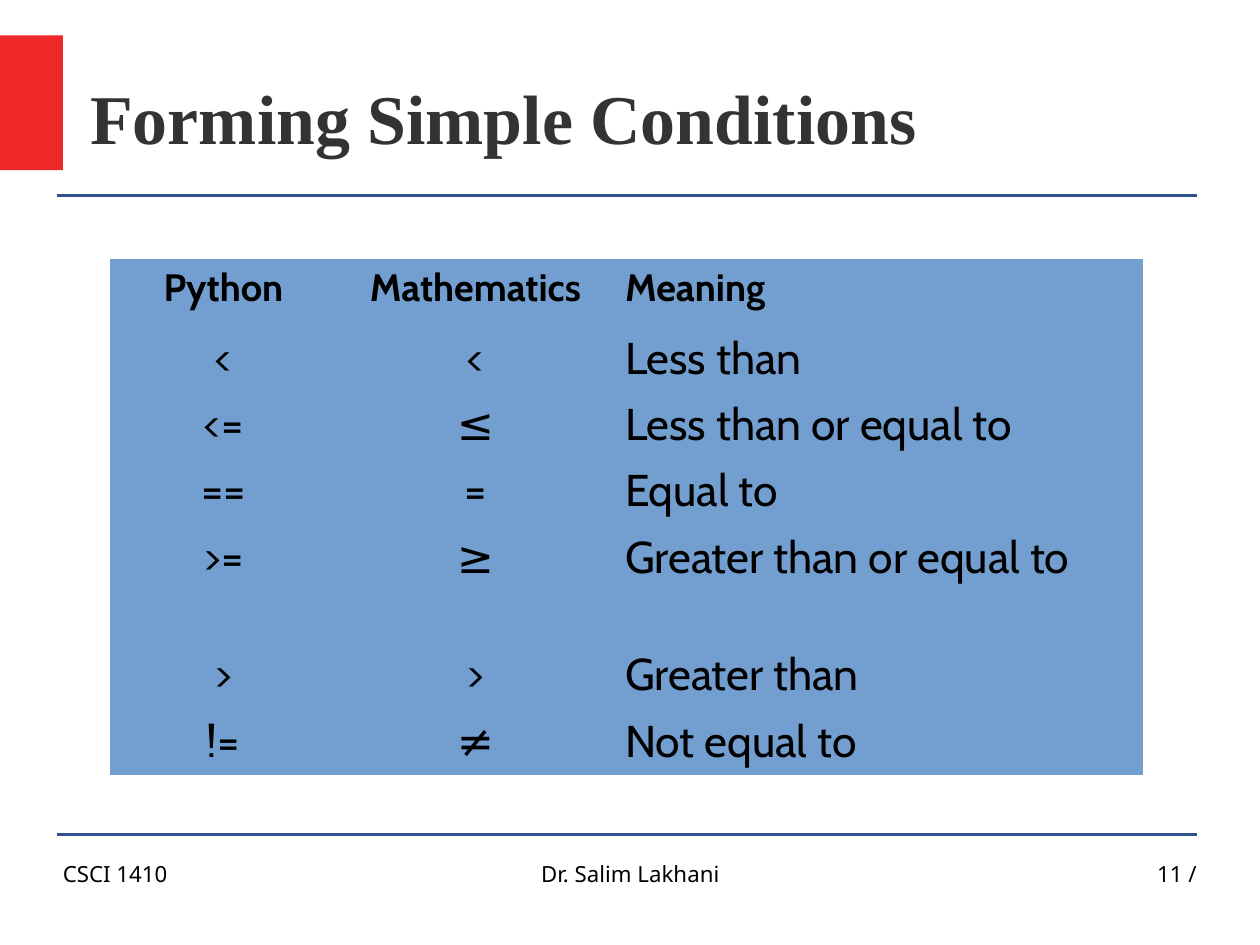
from dataclasses import dataclass

from lxml import etree
from pptx import Presentation
from pptx.dml.color import RGBColor
from pptx.enum.shapes import MSO_CONNECTOR, MSO_SHAPE
from pptx.enum.text import MSO_ANCHOR, PP_ALIGN
from pptx.oxml.ns import qn
from pptx.util import Inches, Pt

RECTANGLE = MSO_SHAPE.RECTANGLE
STRAIGHT = MSO_CONNECTOR.STRAIGHT
TOP, MIDDLE = MSO_ANCHOR.TOP, MSO_ANCHOR.MIDDLE
LEFT, CENTER, RIGHT = PP_ALIGN.LEFT, PP_ALIGN.CENTER, PP_ALIGN.RIGHT
PLAIN_TABLE_STYLE = "{2D5ABB26-0587-4C30-8999-92F81FD0307C}"
SLIDE_WIDTH, SLIDE_HEIGHT = Pt(793.75), Pt(595.25)


@dataclass(frozen=True)
class TextStyle:
    font: str
    size: float
    color: RGBColor
    bold: bool = False


@dataclass(frozen=True)
class Theme:
    accent = RGBColor.from_string("EF2929")
    rule = RGBColor.from_string("2F528F")
    table_fill = RGBColor.from_string("729FCF")
    black = RGBColor.from_string("000000")
    title = TextStyle("Times New Roman", 44, RGBColor.from_string("333333"), True)
    footer = TextStyle("Noto Sans", 14, black)
    table_header = TextStyle("Cabin", 24, black, True)
    table_body = TextStyle("Cabin", 28, black)
    rule_width = 1.45
    space_before_ratio = 0.2


THEME = Theme()

OPERATORS = [
    ("Python", "Mathematics", "Meaning"),
    ("<", "<", "Less than"),
    ("<=", "≤", "Less than or equal to"),
    ("==", "=", "Equal to"),
    (">=", "≥", "Greater than or equal to"),
    (">", ">", "Greater than"),
    ("!=", "≠", "Not equal to"),
]
COLUMN_WIDTHS = (1.99, 2.42, 4.63)
COLUMN_ALIGNMENTS = (CENTER, CENTER, LEFT)
ROW_HEIGHT = 0.58
TALL_ROW, TALL_ROW_HEIGHT = 4, 1.03


def write_text(text_frame, text, style, alignment):
    paragraph = text_frame.paragraphs[0]
    paragraph.alignment = alignment
    run = paragraph.add_run()
    run.text = text
    run.font.name = style.font
    run.font.size = Pt(style.size)
    run.font.bold = style.bold
    run.font.color.rgb = style.color
    return paragraph


def add_text(slide, box, text, style, alignment=LEFT, anchor=TOP):
    text_frame = slide.shapes.add_textbox(*map(Inches, box)).text_frame
    text_frame.word_wrap = True
    text_frame.vertical_anchor = anchor
    text_frame.margin_left = text_frame.margin_right = 0
    text_frame.margin_top = text_frame.margin_bottom = 0
    write_text(text_frame, text, style, alignment)


def add_rule(slide, left, top, width):
    rule = slide.shapes.add_connector(
        STRAIGHT, Inches(left), Inches(top), Inches(left + width), Inches(top)
    )
    rule.line.color.rgb = THEME.rule
    rule.line.width = Pt(THEME.rule_width)
    etree.SubElement(rule._element.spPr, qn("a:effectLst"))


def add_header(slide, box, title):
    left, top, width, height = box
    marker = slide.shapes.add_shape(
        RECTANGLE, 0, Inches(top - 0.02), Inches(left + 0.05), Inches(1.18)
    )
    marker.shadow.inherit = False
    marker.fill.solid()
    marker.fill.fore_color.rgb = THEME.accent
    marker.line.fill.background()
    add_rule(slide, left, top + height, width)
    title_box = (left + 0.29, top, width - 0.29, height)
    add_text(slide, title_box, title, THEME.title, anchor=MIDDLE)


def add_operator_table(slide, box):
    graphic_frame = slide.shapes.add_table(
        len(OPERATORS), len(COLUMN_WIDTHS), *map(Inches, box)
    )
    table = graphic_frame.table
    table.first_row = table.horz_banding = False
    table._tbl.tblPr.find(qn("a:tableStyleId")).text = PLAIN_TABLE_STYLE
    for column, width in zip(table.columns, COLUMN_WIDTHS):
        column.width = Inches(width)
    for row_index, (row, texts) in enumerate(zip(table.rows, OPERATORS)):
        row.height = Inches(TALL_ROW_HEIGHT if row_index == TALL_ROW else ROW_HEIGHT)
        style = THEME.table_body if row_index else THEME.table_header
        for cell, text, alignment in zip(row.cells, texts, COLUMN_ALIGNMENTS):
            cell.fill.solid()
            cell.fill.fore_color.rgb = THEME.table_fill
            paragraph = write_text(cell.text_frame, text, style, alignment)
            paragraph.space_before = Pt(style.size * THEME.space_before_ratio)


def add_footer(slide, box, course, author, page):
    left, top, width, height = box
    right = left + width
    side_width, center_width = 2.57, 3.49
    add_rule(slide, left, top, width)
    parts = [
        (course, left + 0.05, side_width, LEFT),
        (author, left + 3.27, center_width, CENTER),
        (page, right - side_width, side_width, RIGHT),
    ]
    for text, part_left, part_width, alignment in parts:
        part_box = (part_left, top + 0.23, part_width, height - 0.23)
        add_text(slide, part_box, text, THEME.footer, alignment)


def build_presentation():
    presentation = Presentation()
    presentation.slide_width = SLIDE_WIDTH
    presentation.slide_height = SLIDE_HEIGHT
    slide = presentation.slides.add_slide(presentation.slide_layouts[6])
    add_header(slide, (0.5, 0.33, 9.97, 1.38), "Forming Simple Conditions")
    add_operator_table(slide, (0.96, 2.27, 9.04, 4.5))
    add_footer(slide, (0.5, 7.3, 9.97, 0.8), "CSCI 1410", "Dr. Salim Lakhani", "11 /")
    return presentation


presentation = build_presentation()
presentation.save("out.pptx")
